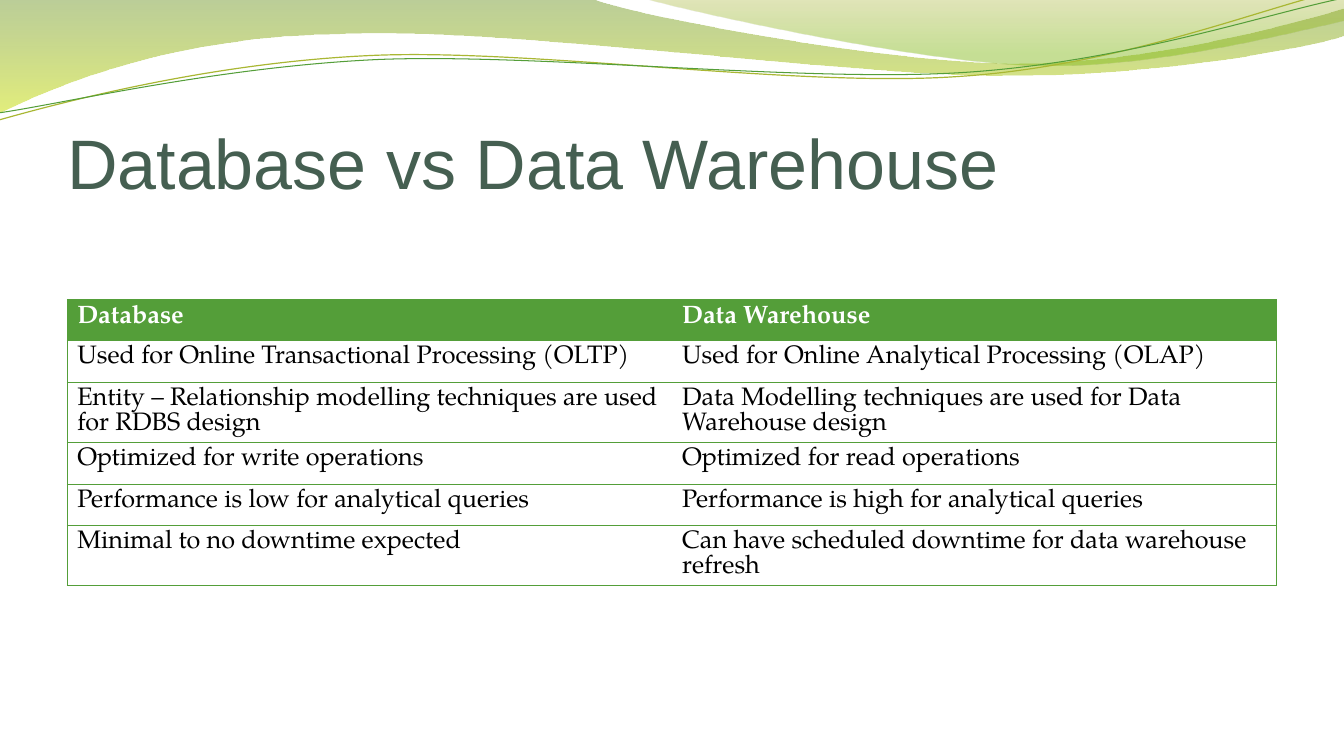
from lxml import etree
from pptx import Presentation, util as u
from pptx.dml.color import RGBColor
from pptx.enum import text
from pptx.oxml import parse_xml
from pptx.oxml.ns import nsdecls, qn

COLORS = {"green": "549E39", "olive": "A9B733", "slate": "455F51",
          "white": "FFFFFF", "black": "000000"}
BODY_FONT = "TeX Gyre Pagella"

deck = Presentation()
deck.slide_width, deck.slide_height = u.Inches(13.33), u.Inches(7.5)
slide = deck.slides.add_slide(deck.slide_layouts[6])
margin = 0.05 * deck.slide_width
content_width = deck.slide_width - 2 * margin


def draw_wave(start, segments, closed):
    """Trace segments in inches: 2 numbers make a line, 6 a cubic curve."""
    builder = slide.shapes.build_freeform(*map(u.Inches, start))
    builder.add_line_segments([(u.Inches(s[-2]), u.Inches(s[-1])) for s in segments],
                              close=closed)
    wave = builder.convert_to_shape()
    wave.shadow.inherit = False
    for segment, stroke in zip(segments, list(wave._element.iter(qn("a:lnTo")))):
        if len(segment) == 6:
            stroke.tag = qn("a:cubicBezTo")
            stroke[:] = [stroke.makeelement(qn("a:pt"), {
                "x": str(u.Inches(x) - wave.left), "y": str(u.Inches(y) - wave.top)})
                for x, y in zip(segment[::2], segment[1::2])]
    return wave


# Translucent bands: start, outline, gradient stops (position, colour, opacity)
bands = [
    ((0, 0), [(5.87, -0.01), (6.34, 0.17, 8.84, 0.63, 10.11, 0.63),
              (11.37, 0.63, 12.77, 0.26, 13.33, 0.09), (13.34, 0.36),
              (13.11, 0.44, 11.59, 0.76, 9.94, 0.75),
              (8.29, 0.75, 5.09, 0.28, 3.43, 0.34),
              (1.72, 0.36, 0.61, 0.83, -0.02, 1.13), (0, 0)],
     [(0, "69921C", 45), (100, "CCE10F", 55)]),
    ((6.38, -0.01), [(6.79, 0.11, 9.09, 0.62, 10.25, 0.65),
                     (11.4, 0.69, 12.82, 0.32, 13.33, 0.21), (13.33, 0),
                     (6.38, -0.01)],
     [(0, "9BAA1A", 30), (80, "81BA16", 45)]),
]
for start, outline, stops in bands:
    band = draw_wave(start, outline, True)
    band.line.fill.background()
    band.fill.gradient()
    band.fill.gradient_angle = 270
    stop_list = band._element.spPr.find(qn("a:gradFill")).find(qn("a:gsLst"))
    stop_list[:] = [parse_xml(
        f'<a:gs {nsdecls("a")} pos="{position * 1000}"><a:srgbClr val="{color}">'
        f'<a:alpha val="{opacity * 1000}"/></a:srgbClr></a:gs>')
        for position, color, opacity in stops]

strands = [
    ((-0.01, 1.19), [(0.63, 1.01, 2.1, 0.62, 3.69, 0.55),
                     (5.27, 0.48, 7.89, 0.87, 9.49, 0.76),
                     (11.1, 0.66, 12.51, 0.08, 13.3, -0.1)], "olive", 0.85),
    ((-0.01, 1.12), [(0.62, 1.03, 2.18, 0.66, 3.77, 0.59),
                     (5.37, 0.53, 7.96, 0.82, 9.55, 0.72),
                     (11.14, 0.62, 12.55, 0.14, 13.33, -0.02)], "green", 0.75),
]
for start, curve, color, width in strands:
    strand = draw_wave(start, curve, False)
    strand.fill.background()
    strand.line.color.rgb = RGBColor.from_string(COLORS[color])
    strand.line.width = u.Pt(width)


def write(frame, words, **formats):
    run = frame.paragraphs[0].add_run()
    run.text = words
    run.font.color.rgb = RGBColor.from_string(COLORS[formats.pop("color")])
    for name, value in formats.items():
        setattr(run.font, name, value)


heading = slide.shapes.add_textbox(int(margin), u.Inches(0.77),
                                   int(content_width), u.Inches(1.25)).text_frame
frame_format = {"word_wrap": True, "vertical_anchor": text.MSO_ANCHOR.BOTTOM,
                "margin_left": 0, "margin_right": 0, "margin_bottom": 0}
for name, value in frame_format.items():
    setattr(heading, name, value)
write(heading, "Database vs Data Warehouse", color="slate", name="Arial", size=u.Pt(50))

comparison = [
    ("Database", "Data Warehouse"),
    ("Used for Online Transactional Processing (OLTP)",
     "Used for Online Analytical Processing (OLAP)"),
    ("Entity – Relationship modelling techniques are used for RDBS design",
     "Data Modelling techniques are used for Data Warehouse design"),
    ("Optimized for write operations", "Optimized for read operations"),
    ("Performance is low for analytical queries",
     "Performance is high for analytical queries"),
    ("Minimal to no downtime expected",
     "Can have scheduled downtime for data warehouse refresh"),
]
row_height = u.Inches(0.41)
table = slide.shapes.add_table(len(comparison), 2, int(margin), u.Inches(2.97),
                               int(content_width), row_height * len(comparison)).table
table.horz_banding = False
for row, pair in enumerate(comparison):
    is_header = row == 0
    for column, words in enumerate(pair):
        cell = table.cell(row, column)
        inner_side = "R" if column == 0 else "L"
        for side in "LRTB":
            border = etree.SubElement(cell._tc.get_or_add_tcPr(), qn(f"a:ln{side}"),
                                      w=str(u.Pt(0.5)))
            if side == inner_side:
                etree.SubElement(border, qn("a:noFill"))
            else:
                paint = etree.SubElement(border, qn("a:solidFill"))
                etree.SubElement(paint, qn("a:srgbClr"), val=COLORS["green"])
        if is_header:
            cell.fill.solid()
            cell.fill.fore_color.rgb = RGBColor.from_string(COLORS["green"])
        else:
            cell.fill.background()
        write(cell.text_frame, words, color="white" if is_header else "black",
              name=BODY_FONT, size=u.Pt(18), bold=is_header)
        cell.text_frame.paragraphs[0].line_spacing = u.Pt(18)

deck.save("out.pptx")
